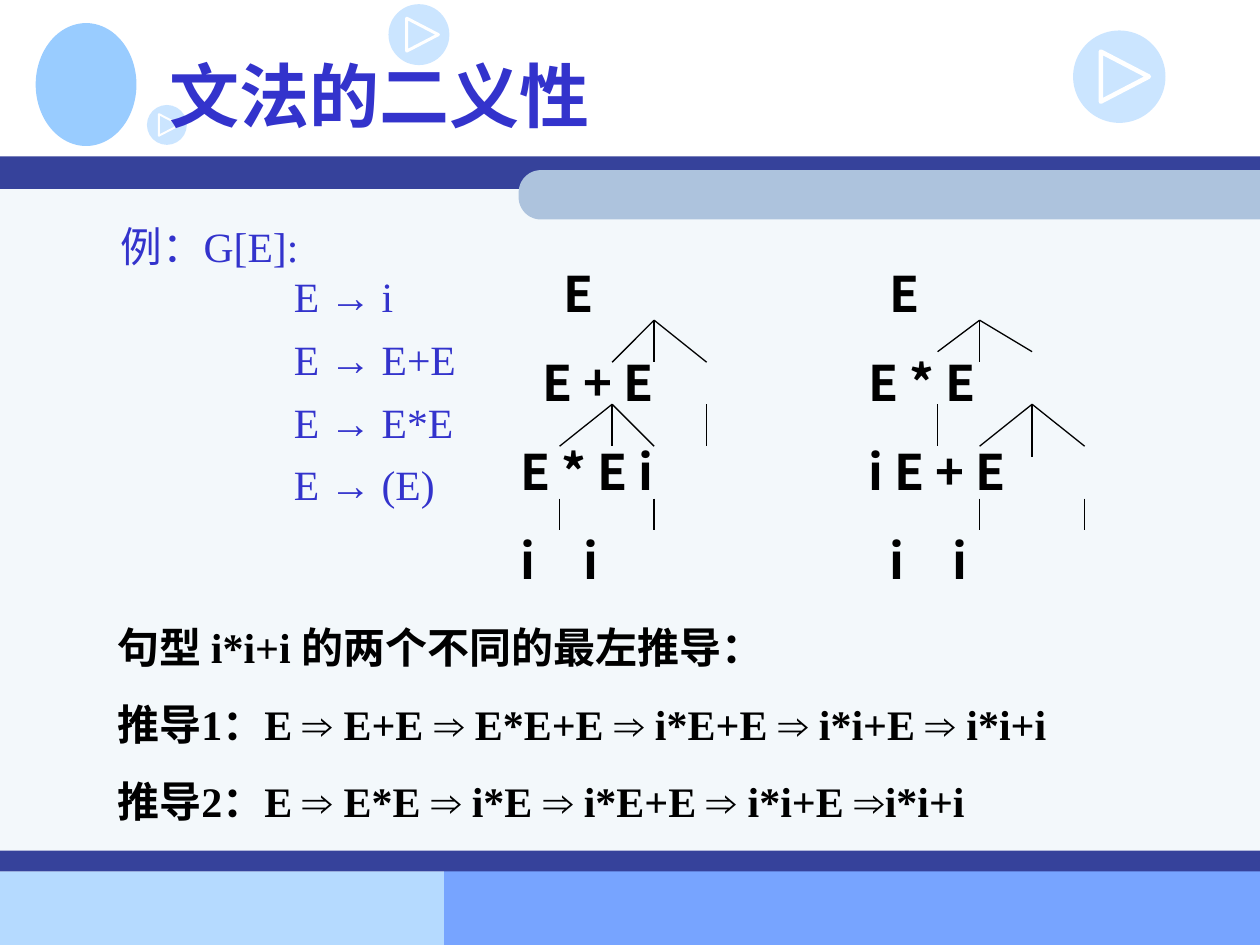
"""Build a slide on grammar ambiguity with two parse trees and two derivations."""
from dataclasses import dataclass
from typing import NamedTuple

from lxml.etree import SubElement
from pptx import Presentation
from pptx.dml.color import RGBColor
from pptx.enum.shapes import MSO_CONNECTOR as Connector, MSO_SHAPE as Preset
from pptx.enum.text import MSO_ANCHOR as Anchor
from pptx.oxml.ns import qn
from pptx.util import Inches, Pt

COLUMNS, ROWS = 120, 90
CELL = Inches(10) / COLUMNS


@dataclass(frozen=True)
class Theme:
    blue: str = "3333CC"
    navy: str = "36429B"
    sky: str = "99CCFF"
    pale: str = "B5DAFF"
    azure: str = "77A4FF"
    panel: str = "F3F8FB"
    pill: str = "ADC3DD"
    black: str = "000000"
    white: str = "FFFFFF"
    sans: str = "Noto Sans CJK SC"
    serif: str = "Times New Roman"
    symbol: str = "Arial"
    title: float = 40
    rule: float = 23.8
    node: float = 28
    derivation: float = 24


THEME = Theme()


class Box(NamedTuple):
    left: float
    top: float
    width: float
    height: float


class Style(NamedTuple):
    font: str
    size: float
    color: str
    bold: bool = True
    before: float = 0
    pitch: float | None = None


class Line(NamedTuple):
    text: str
    margin: float = 0
    hanging: float = 0
    tab: float = 0


class Fan(NamedTuple):
    """Edges from one parent point to its child points, in cells of the tree."""
    parent: tuple[int, int]
    children: tuple[tuple[int, int], ...]


class Tree(NamedTuple):
    left: float
    lines: tuple[Line, ...]
    fans: tuple[Fan, ...]


TREE_TOP = 24.5
TREES = (
    Tree(46.3,
         (Line("E", 6.2), Line("E + E", 4.2), Line("E * E i", 2.1), Line("i\ti", 2.1, tab=6.7)),
         (Fan((16, 6), ((12, 10), (16, 10), (21, 10))),
          Fan((12, 14), ((7, 18), (12, 18), (16, 18))),
          Fan((21, 14), ((21, 18),)),
          Fan((7, 23), ((7, 26),)),
          Fan((16, 23), ((16, 26),)))),
    Tree(77.3,
         (Line("E", 6.2), Line("E * E", 4.2), Line("i E + E", 4.2), Line("i\ti", 6.2, tab=10.8)),
         (Fan((16, 6), ((12, 9), (16, 10), (21, 9))),
          Fan((12, 14), ((12, 18),)),
          Fan((21, 14), ((16, 18), (21, 19), (26, 18))),
          Fan((16, 23), ((16, 26),)),
          Fan((26, 23), ((26, 26),)))),
)

BANDS = (
    (Box(0, 83, 51, 7), THEME.pale),
    (Box(42.3, 82.9, 77.7, 7.1), THEME.azure),
    (Box(0, 16.8, 120, 66.1), THEME.panel),
    (Box(0, 14.9, 120, 3.1), THEME.navy),
    (Box(0, 81, 120, 2), THEME.navy),
)
PLAY_ICONS = (Box(37, 0.4, 5.8, 5.8), Box(102.2, 2.9, 8.8, 8.8), Box(14, 10, 3.8, 3.8))

RULES = (
    Line("例：G[E]:\vE → i", 16.5, -16.5),
    *(Line(f"E → {body}", 16.5) for body in ("E+E", "E*E", "(E)")),
)
DERIVATIONS = (
    Line("句型 i*i+i 的两个不同的最左推导："),
    Line("推导1：E ⇒ E+E ⇒ E*E+E ⇒ i*E+E ⇒ i*i+E ⇒ i*i+i"),
    Line("推导2：E ⇒ E*E ⇒ i*E ⇒ i*E+E ⇒ i*i+E ⇒i*i+i"),
)


def cells(*values: float) -> list[int]:
    """Turn grid cells into slide lengths."""
    return [round(value * CELL) for value in values]


def rgb(color: str) -> RGBColor:
    """Turn a hex code into a colour."""
    return RGBColor.from_string(color)


def add_solid(shapes, preset: Preset, box: Box, color: str):
    """Add a flat preset shape without outline."""
    shape = shapes.add_shape(preset, *cells(*box))
    shape.shadow.inherit = False
    shape.fill.solid()
    shape.fill.fore_color.rgb = rgb(color)
    shape.line.fill.background()
    return shape


def add_pill(shapes, box: Box) -> None:
    """Add a bar rounded at its left end only."""
    middle, center = box.left + box.width / 2, box.top + box.height / 2
    upright = Box(middle - box.height / 2, center - box.width / 2, box.height, box.width)
    pill = add_solid(shapes, Preset.ROUND_2_SAME_RECTANGLE, upright, THEME.pill)
    pill.adjustments[0] = 0.45
    pill.rotation = 270


def add_play_icon(shapes, box: Box) -> None:
    """Add a translucent disc with an outlined triangle."""
    disc = add_solid(shapes, Preset.OVAL, box, THEME.sky)
    color = disc.fill._xPr.find(qn("a:solidFill"))[0]
    SubElement(color, qn("a:alpha"), val="50000")
    corners = [cells(box.left + x * box.width, box.top + y * box.height)
               for x, y in ((0.3, 0.23), (0.82, 0.5), (0.3, 0.77))]
    builder = shapes.build_freeform(*corners[0])
    builder.add_line_segments(corners[1:], close=True)
    triangle = builder.convert_to_shape()
    triangle.shadow.inherit = False
    triangle.fill.background()
    triangle.line.color.rgb = rgb(THEME.white)
    triangle.line.width = round(0.05 * box.width * CELL)


def add_text(shapes, box: Box, lines: tuple[Line, ...], style: Style, anchor=Anchor.TOP) -> None:
    """Add a text box with one paragraph for each line."""
    frame = shapes.add_textbox(*cells(*box)).text_frame
    frame.word_wrap = True
    frame.vertical_anchor = anchor
    for index, line in enumerate(lines):
        paragraph = frame.paragraphs[0] if index == 0 else frame.add_paragraph()
        properties = paragraph._p.get_or_add_pPr()
        margin, hanging, tab = cells(line.margin, line.hanging, line.tab)
        properties.set("marL", str(margin))
        properties.set("indent", str(hanging))
        if style.pitch:
            paragraph.line_spacing = Pt(style.pitch)
        if index:
            paragraph.space_before = Pt(style.before)
        if tab:
            tabs = SubElement(properties, qn("a:tabLst"))
            SubElement(tabs, qn("a:tab"), pos=str(tab), algn="l")
        font = paragraph.font
        font.size, font.bold, font.name = Pt(style.size), style.bold, style.font
        font.color.rgb = rgb(style.color)
        SubElement(font._element, qn("a:ea"), typeface=THEME.sans)
        if "⇒" in line.text:
            for position, part in enumerate(line.text.split("⇒")):
                if position:
                    arrow = paragraph.add_run()
                    arrow.text, arrow.font.name = "⇒", THEME.symbol
                paragraph.add_run().text = part
        else:
            paragraph.text = line.text


def add_tree(shapes, tree: Tree) -> None:
    """Add the nodes and edges of a parse tree."""
    style = Style(THEME.sans, THEME.node, THEME.black, before=17.5, pitch=33.5)
    add_text(shapes, Box(tree.left, TREE_TOP, 30, 32.4), tree.lines, style)
    for fan in tree.fans:
        for child in fan.children:
            ends = [tree.left + fan.parent[0], TREE_TOP + fan.parent[1],
                    tree.left + child[0], TREE_TOP + child[1]]
            edge = shapes.add_connector(Connector.STRAIGHT, *cells(*ends))
            edge.line.color.rgb = rgb(THEME.black)
            edge.line.width = Pt(0.75)
            SubElement(edge._element.spPr, qn("a:effectLst"))


def main() -> None:
    """Build and save the slide."""
    presentation = Presentation()
    presentation.slide_width, presentation.slide_height = cells(COLUMNS, ROWS)
    shapes = presentation.slides.add_slide(presentation.slide_layouts[6]).shapes
    for box, color in BANDS:
        add_solid(shapes, Preset.RECTANGLE, box, color)
    add_pill(shapes, Box(49.4, 16.2, 70.6, 4.7))
    add_solid(shapes, Preset.OVAL, Box(3.4, 2.2, 9.6, 11.7), THEME.sky)
    for box in PLAY_ICONS:
        add_play_icon(shapes, box)
    add_text(shapes, Box(15, 2, 102, 14), (Line("文法的二义性"),),
             Style(THEME.sans, THEME.title, THEME.blue), Anchor.MIDDLE)
    add_text(shapes, Box(10.3, 20.4, 35.2, 37.8), RULES,
             Style(THEME.serif, THEME.rule, THEME.blue, False, 7, 28.8))
    for tree in TREES:
        add_tree(shapes, tree)
    add_text(shapes, Box(10, 58.6, 103, 20.6), DERIVATIONS,
             Style(THEME.serif, THEME.derivation, THEME.black, before=15, pitch=29))
    presentation.save("out.pptx")


if __name__ == "__main__":
    main()
